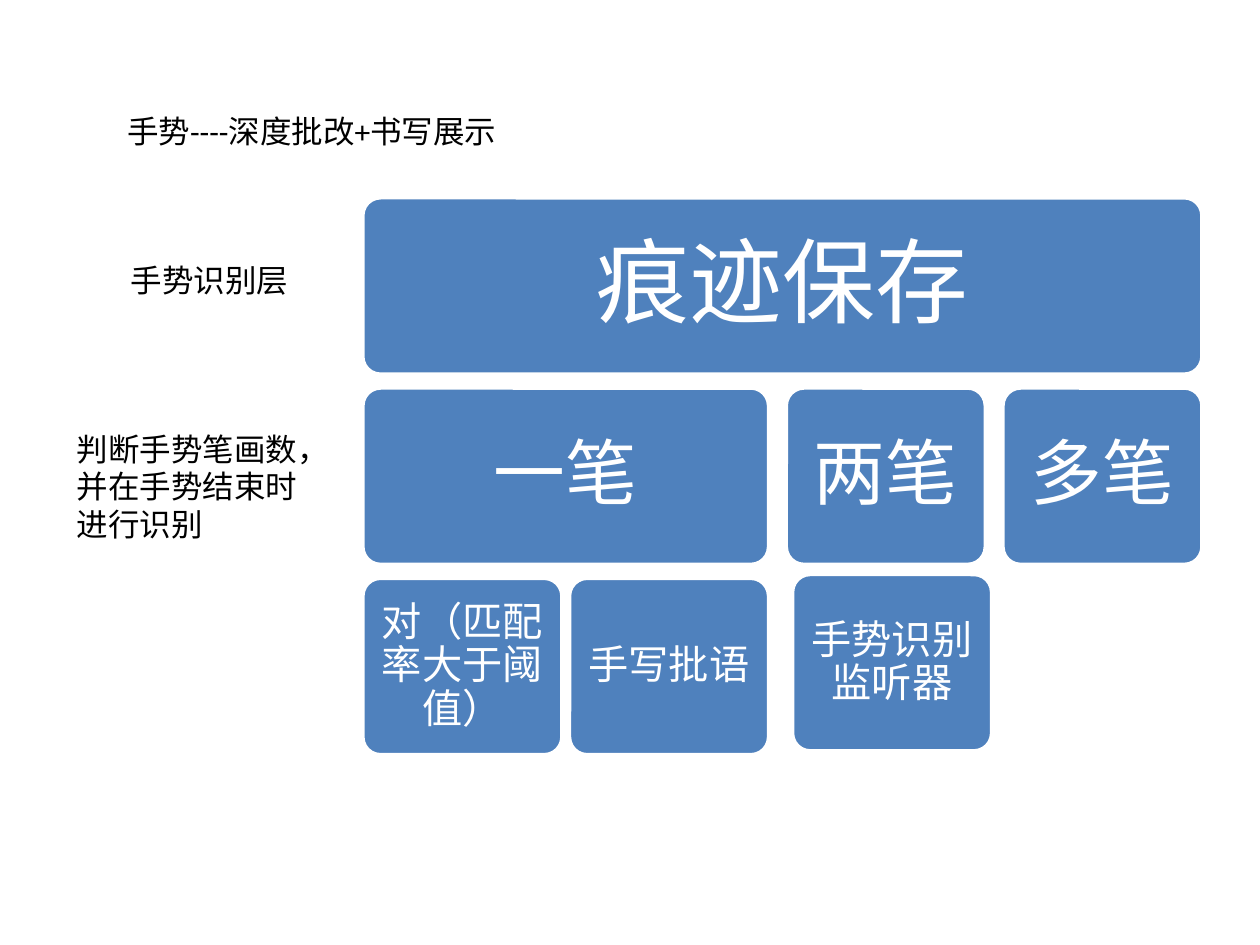
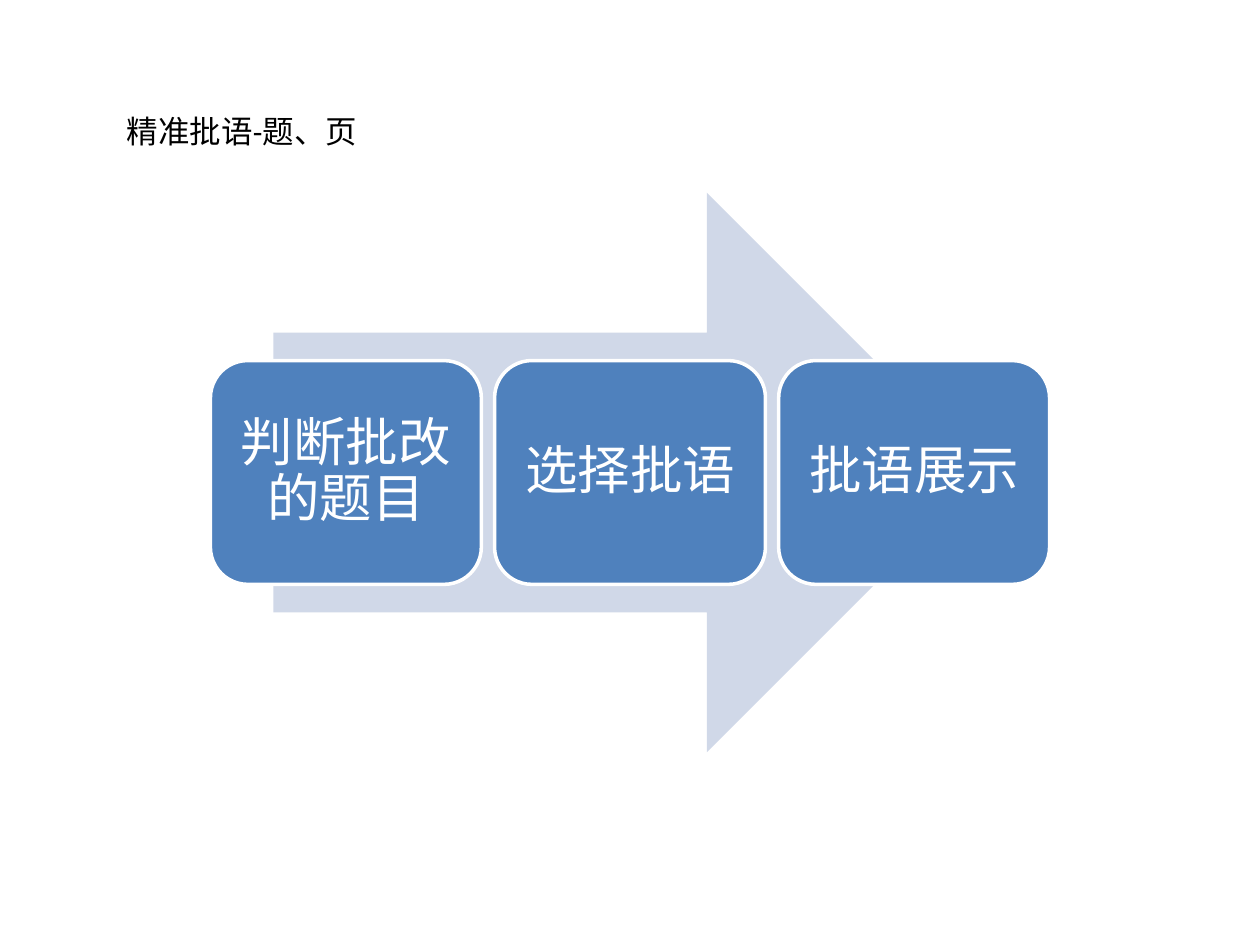
from dataclasses import dataclass

from pptx import Presentation
from pptx.dml.color import RGBColor
from pptx.enum import shapes, text
from pptx import util as u


@dataclass(frozen=True)
class Theme:
    font: str = "Calibri"
    ink: str = "000000"
    white: str = "FFFFFF"
    blue: str = "4F81BD"
    pale: str = "D0D8E8"
    body: int = 18
    small: int = 23
    step: int = 30
    mid: int = 41
    large: int = 53
    edge: int = 2


T = Theme()


def paint(run, size, color):
    run.font.name = T.font
    run.font.size = u.Pt(size)
    run.font.color.rgb = RGBColor.from_string(color)


def label(slide, words, x, y, w, h=0.4):
    """Plain black text."""
    box = slide.shapes.add_textbox(*map(u.Inches, (x, y, w, h)))
    box.text_frame.word_wrap = True
    box.text_frame.text = words
    paint(box.text_frame.paragraphs[0].runs[0], T.body, T.ink)


def solid(slide, kind, box, color):
    """Filled preset shape without line or shadow."""
    shape = slide.shapes.add_shape(kind, *map(u.Inches, box))
    shape.shadow.inherit = False
    shape.fill.solid()
    shape.fill.fore_color.rgb = RGBColor.from_string(color)
    shape.line.fill.background()
    return shape


def card(slide, words, box, size, inset, round_by=None):
    """Blue rounded card with a white edge and centred text."""
    shape = solid(slide, shapes.MSO_SHAPE.ROUNDED_RECTANGLE, box, T.blue)
    if round_by is not None:
        shape.adjustments[0] = round_by
    shape.line.color.rgb = RGBColor.from_string(T.white)
    shape.line.width = u.Pt(T.edge)
    frame = shape.text_frame
    frame.word_wrap = True
    frame.vertical_anchor = text.MSO_ANCHOR.MIDDLE
    for side in ("left", "top", "right", "bottom"):
        setattr(frame, f"margin_{side}", u.Inches(inset))
    frame.text = words
    para = frame.paragraphs[0]
    para.alignment = text.PP_ALIGN.CENTER
    para.line_spacing = 0.9
    paint(para.runs[0], size, T.white)


def start(deck, title, width):
    """Blank slide with its title."""
    slide = deck.slides.add_slide(deck.slide_layouts[6])
    label(slide, title, 0.91, 0.84, width)
    return slide


def layers(slide, x, y, w, h):
    """Three rows of cards that split downwards."""
    unit, tall, gap = 1.58, 1.4, 0.14
    pitch = (h - tall) / 2
    last = w - unit
    second = last - unit - gap
    wide = second - gap
    cards = [
        # words, left, row, width, size, inset
        ("痕迹保存", 0, 0, w, T.large, 0.22),
        ("一笔", 0, 1, wide, T.mid, 0.17),
        ("对（匹配率大于阈值）", 0, 2, unit, T.small, 0.1),
        ("手写批语", wide - unit, 2, unit, T.small, 0.1),
        ("两笔", second, 1, unit, T.mid, 0.17),
        ("多笔", last, 1, unit, T.mid, 0.17),
        # The listener stands slightly off the grid
        ("手势识别监听器", second + 0.05, 1.98, unit, T.small, 0.1),
    ]
    for words, left, row, wide, size, inset in cards:
        box = (x + left, y + row * pitch, wide, tall)
        card(slide, words, box, size, inset, 0.1)


def process(slide, x, y, w, h, steps):
    """Equal step cards in front of a broad arrow."""
    shaft = 0.85 * w
    solid(slide, shapes.MSO_SHAPE.RIGHT_ARROW,
          (x + (w - shaft) / 2, y, shaft, h), T.pale)
    wide, tall = 2.15, 0.4 * h
    pitch = (w - wide) / (len(steps) - 1)
    for i, words in enumerate(steps):
        box = (x + i * pitch, y + (h - tall) / 2, wide, tall)
        card(slide, words, box, T.step, 0.12)


def main():
    deck = Presentation()
    deck.slide_width, deck.slide_height = u.Inches(10), u.Inches(7.5)

    # Gesture layers
    slide = start(deck, "手势----深度批改+书写展示", 3.62)
    layers(slide, 2.88, 1.57, 6.66, 4.42)
    label(slide, "手势识别层", 0.94, 2.02, 1.57)
    label(slide, "判断手势笔画数，并在手势结束时进行识别", 0.51, 3.36, 2.01, 1.01)

    # Comment process
    slide = start(deck, "精准批语-题、页", 2.36)
    process(slide, 1.67, 1.53, 6.66, 4.44,
            ("判断批改的题目", "选择批语", "批语展示"))

    deck.save("out.pptx")


if __name__ == "__main__":
    main()
